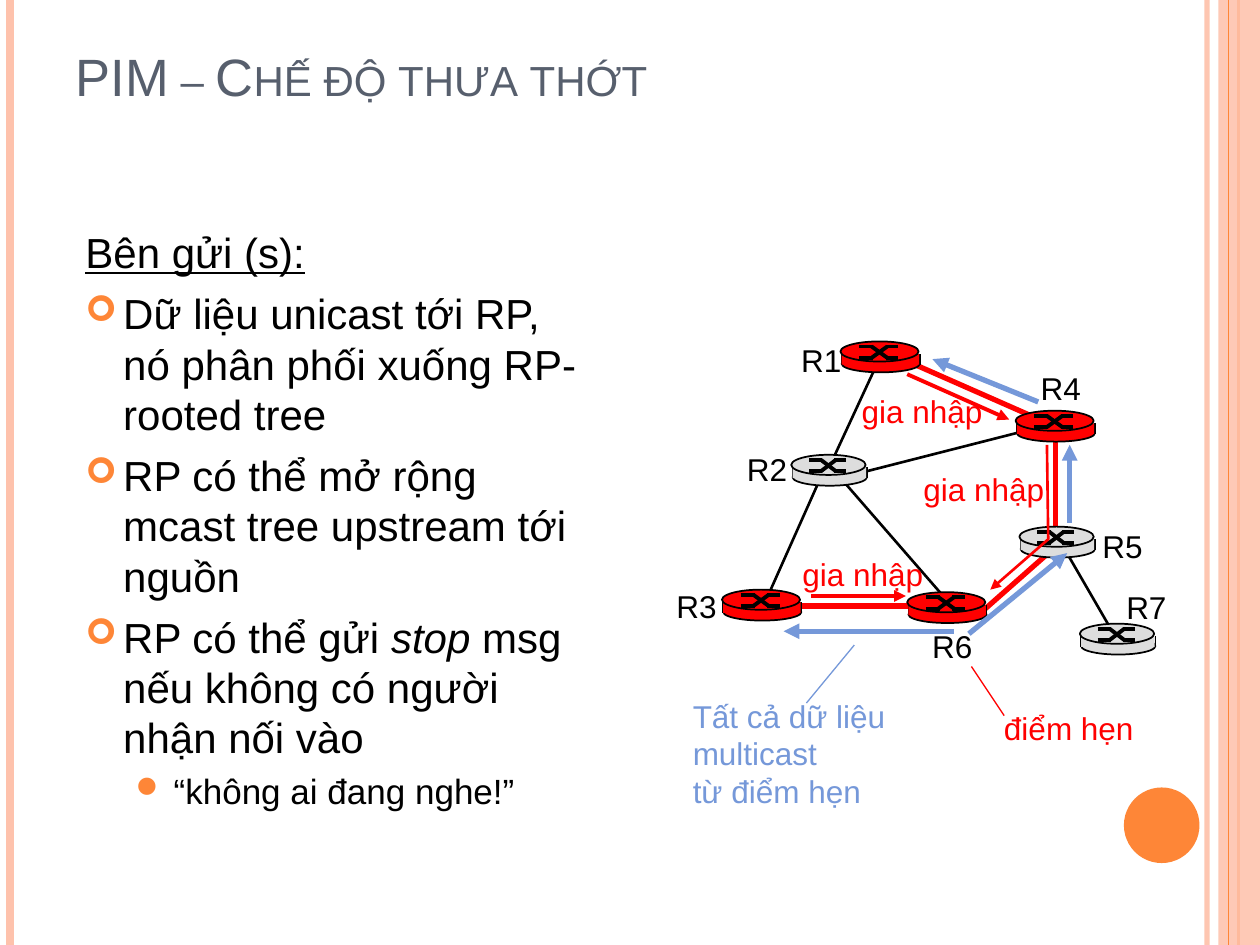
from dataclasses import dataclass

from lxml import etree
from pptx import Presentation
from pptx.dml.color import RGBColor
from pptx.enum.shapes import MSO_CONNECTOR, MSO_SHAPE
from pptx.enum.text import MSO_ANCHOR, MSO_AUTO_SIZE, PP_ALIGN
from pptx.oxml.ns import qn
from pptx.util import Inches, Pt

STRAIGHT = MSO_CONNECTOR.STRAIGHT
OVAL, RECT = MSO_SHAPE.OVAL, MSO_SHAPE.RECTANGLE
TOP, LEFT = MSO_ANCHOR.TOP, PP_ALIGN.LEFT
NO_FIT = MSO_AUTO_SIZE.NONE


@dataclass(frozen=True)
class Theme:
    font: str = "Arial"
    bullet_font: str = "Wingdings"
    ink: str = "000000"
    title: str = "575F6D"
    accent: str = "FE8637"
    pale: str = "FEC2AC"
    red: str = "FF0000"
    blue: str = "7598D9"
    grey: str = "DDDDDD"
    title_pt: int = 30
    body_pt: int = 24
    sub_pt: int = 20
    label_pt: int = 18


T = Theme()
rgb = RGBColor.from_string

prs = Presentation()
prs.slide_width, prs.slide_height = Inches(10), Inches(7.5)
s = prs.slides.add_slide(prs.slide_layouts[5])

# The slide is a grid of 100 columns by 75 rows of square cells.
COLS, ROWS = 100, 75
CELL = prs.slide_width // COLS


def add_line(shapes, ends, color, width, arrow=False):
    ln = shapes.add_connector(STRAIGHT, *(round(v * CELL) for v in ends))
    ln.line.color.rgb = rgb(color)
    ln.line.width = Pt(width)
    etree.SubElement(ln._element.spPr, qn("a:effectLst"))
    if arrow:
        etree.SubElement(ln.line._get_or_add_ln(), qn("a:tailEnd"), type="triangle")
    return ln


def add_solid(shapes, kind, box, fill, outline=None):
    sp = shapes.add_shape(kind, *(round(v * CELL) for v in box))
    sp.shadow.inherit = False
    sp.fill.solid()
    sp.fill.fore_color.rgb = rgb(fill)
    if outline:
        sp.line.color.rgb = rgb(outline)
        sp.line.width = Pt(1)
    else:
        sp.line.fill.background()
    return sp


# Frame
edge = add_line(s.shapes, (95.8, 0, 95.8, ROWS), T.pale, 3)
add_line(s.shapes, (0.8, 0, 0.8, ROWS), T.pale, 4.5)
add_line(s.shapes, (98.3, 0, 98.3, ROWS), T.accent, 1.5)
band = add_solid(s.shapes, RECT, (96.7, 0, 3.3, ROWS), T.pale)
add_line(s.shapes, (97.5, 0, 97.5, ROWS), T.accent, 0.75)
add_solid(s.shapes, OVAL, (89.2, 62.5, 6, 6), T.accent)
for sp, opacity in ((edge, 93), (band, 87)):
    color = next(sp._element.spPr.iter(qn("a:srgbClr")))
    etree.SubElement(color, qn("a:alpha"), val=str(opacity * 1000))

# Title
title = s.shapes.title
title.left, title.top, title.width, title.height = (
    round(v * CELL) for v in (5, 3, 81.7, 12.5))
tf = title.text_frame
tf.text = "PIM – Chế độ thưa thớt"
tf.word_wrap, tf.auto_size, tf.vertical_anchor = True, NO_FIT, TOP
p = tf.paragraphs[0]
p.alignment = LEFT
r = p.runs[0]
r.font.name, r.font.size = T.font, Pt(T.title_pt)
r.font.color.rgb = rgb(T.title)
r._r.get_or_add_rPr().set("cap", "small")

# Body: bullet, bullet size in percent, indent, space before, type size, text
# (asterisks mark italics). In the bullet font ¢ is a ring and l a disc.
HEAD = (None, 0, 0.3, 0, T.body_pt)
ITEM = ("¢", 85, 0.3, 6, T.body_pt)
SUB = ("l", 85, 0.7, 4, T.sub_pt)
body = [
    (HEAD, "Bên gửi (s):"),
    (ITEM, "Dữ liệu unicast tới RP, nó phân phối xuống RP-rooted tree"),
    (ITEM, "RP có thể mở rộng mcast tree upstream tới nguồn"),
    (ITEM, "RP có thể gửi *stop* msg nếu không có người nhận nối vào"),
    (SUB, "“không ai đang nghe!”"),
]
tf = s.shapes.add_textbox(*(round(v * CELL) for v in (5.8, 17.5, 41.7, 50.8))).text_frame
tf.word_wrap = True
for i, (style, text) in enumerate(body):
    bullet, percent, indent, before, size = style
    p = tf.add_paragraph() if i else tf.paragraphs[0]
    p.level = int(style is SUB)
    pPr = p._p.get_or_add_pPr()
    pPr.set("marL", str(Inches(indent)))
    pPr.set("indent", str(Inches(-0.3)))
    if bullet:
        color = etree.SubElement(pPr, qn("a:buClr"))
        etree.SubElement(color, qn("a:srgbClr"), val=T.accent)
        etree.SubElement(pPr, qn("a:buSzPct"), val=str(percent * 1000))
        etree.SubElement(pPr, qn("a:buFont"), typeface=T.bullet_font,
                         pitchFamily="2", charset="2")
        etree.SubElement(pPr, qn("a:buChar"), char=bullet)
    p.space_before = Pt(before)
    for j, part in enumerate(text.split("*")):
        r = p.add_run()
        r.text = part
        r.font.name, r.font.size = T.font, Pt(size)
        r.font.color.rgb = rgb(T.ink)
        r.font.italic = j % 2 == 1
        r.font.underline = style is HEAD

# Links between routers
plain_links = [(84.1, 42.9, 88.5, 50.5), (68.8, 37.4, 83.7, 33.6),
               (65.9, 37, 75.2, 47.7), (65, 38.2, 60.9, 47.4),
               (69.6, 28.9, 65.8, 37.1)]
tree_links = [(72.3, 28.8, 83.2, 33.6), (78.1, 48.4, 84, 43.2),
              (83.8, 34.7, 83.8, 42.6), (62.3, 48.1, 73.6, 48.1)]
for ends in plain_links:
    add_line(s.shapes, ends, T.ink, 1.5)
for ends in tree_links:
    add_line(s.shapes, ends, T.red, 3)

# Routers: left, top, width, fill
routers = [(72, 47, 6.2, T.red), (80.6, 32.6, 6.2, T.red), (57.3, 46.8, 6.2, T.red),
           (80.9, 41.8, 5.9, T.grey), (62.8, 36.1, 5.9, T.grey),
           (66.7, 27.1, 6.2, T.red), (85.7, 49.5, 5.9, T.grey)]
# Crossed arrows on the lid: start and end as share of width, then rows down
UP, DOWN = 0.4, 1.3
cross = [(0.24, UP, 0.42, UP), (0.58, DOWN, 0.74, DOWN), (0.4, UP, 0.6, DOWN),
         (0.24, DOWN, 0.42, DOWN), (0.58, UP, 0.74, UP), (0.4, DOWN, 0.6, UP)]
for x, y, w, fill in routers:
    group = s.shapes.add_group_shape().shapes
    add_solid(group, OVAL, (x + 0.1, y + 1.1, w, 1.35), fill, T.ink)
    for side in (x + 0.1, x + w + 0.1):
        add_line(group, (side, y + 1, side, y + 1.85), T.ink, 1)
    add_solid(group, RECT, (x + 0.1, y + 1, w - 0.05, 0.85), fill)
    add_solid(group, OVAL, (x, y, w, 1.6), fill, T.ink)
    for x1, y1, x2, y2 in cross:
        add_line(group, (x + x1 * w, y + y1, x + x2 * w, y + y2), T.ink, 2.25)

# Join messages and multicast data
turn = [(round(x * CELL), round(y * CELL))
        for x, y in ((83.1, 35.3), (83.2, 42.8), (78.6, 46.8))]
fb = s.shapes.build_freeform(*turn[0])
fb.add_line_segments(turn[1:], close=False)
sp = fb.convert_to_shape()
sp.shadow.inherit = False
sp.fill.background()
sp.line.color.rgb = rgb(T.red)
sp.line.width = Pt(1.5)
etree.SubElement(sp.line._get_or_add_ln(), qn("a:tailEnd"), type="triangle")

for ends in [(64.4, 47.3, 71.9, 47.3), (72, 29.7, 80.1, 33.3)]:
    add_line(s.shapes, ends, T.red, 2.25, arrow=True)
for ends in [(75.7, 50.1, 62.2, 50.1), (76.9, 50.3, 84.7, 43.9),
             (84.9, 41.5, 84.9, 35.3), (82.4, 31.9, 74, 28.5)]:
    add_line(s.shapes, ends, T.blue, 3, arrow=True)
add_line(s.shapes, (64, 55.8, 67.8, 51.2), T.blue, 0.75)
add_line(s.shapes, (77.1, 52.9, 79.7, 56.8), T.red, 0.75)

# Labels: left, top, width, colour, lines
names = [(62.6, 26.6), (58.3, 35.2), (52.7, 46.1), (81.6, 28.8),
         (86.5, 41.3), (73, 49.3), (88.4, 46.2)]
labels = [(x, y, 5.2, T.ink, [f"R{n}"]) for n, (x, y) in enumerate(names, 1)]
labels += [(x, y, 11.6, T.red, ["gia nhập"])
           for x, y in ((72.3, 36.8), (67.4, 30.6), (62.7, 43.6))]
labels += [(54, 54.8, 18, T.blue, ["Tất cả dữ liệu", "multicast", "từ điểm hẹn"]),
           (78.7, 55.8, 12.3, T.red, ["điểm hẹn"])]
for x, y, w, color, lines in labels:
    box = (x, y, w, 1 + 3 * len(lines))
    tf = s.shapes.add_textbox(*(round(v * CELL) for v in box)).text_frame
    tf.word_wrap = len(lines) > 1
    tf.text = "\n".join(lines)
    for p in tf.paragraphs:
        r = p.runs[0]
        r.font.name, r.font.size = T.font, Pt(T.label_pt)
        r.font.color.rgb = rgb(color)

prs.save("out.pptx")
